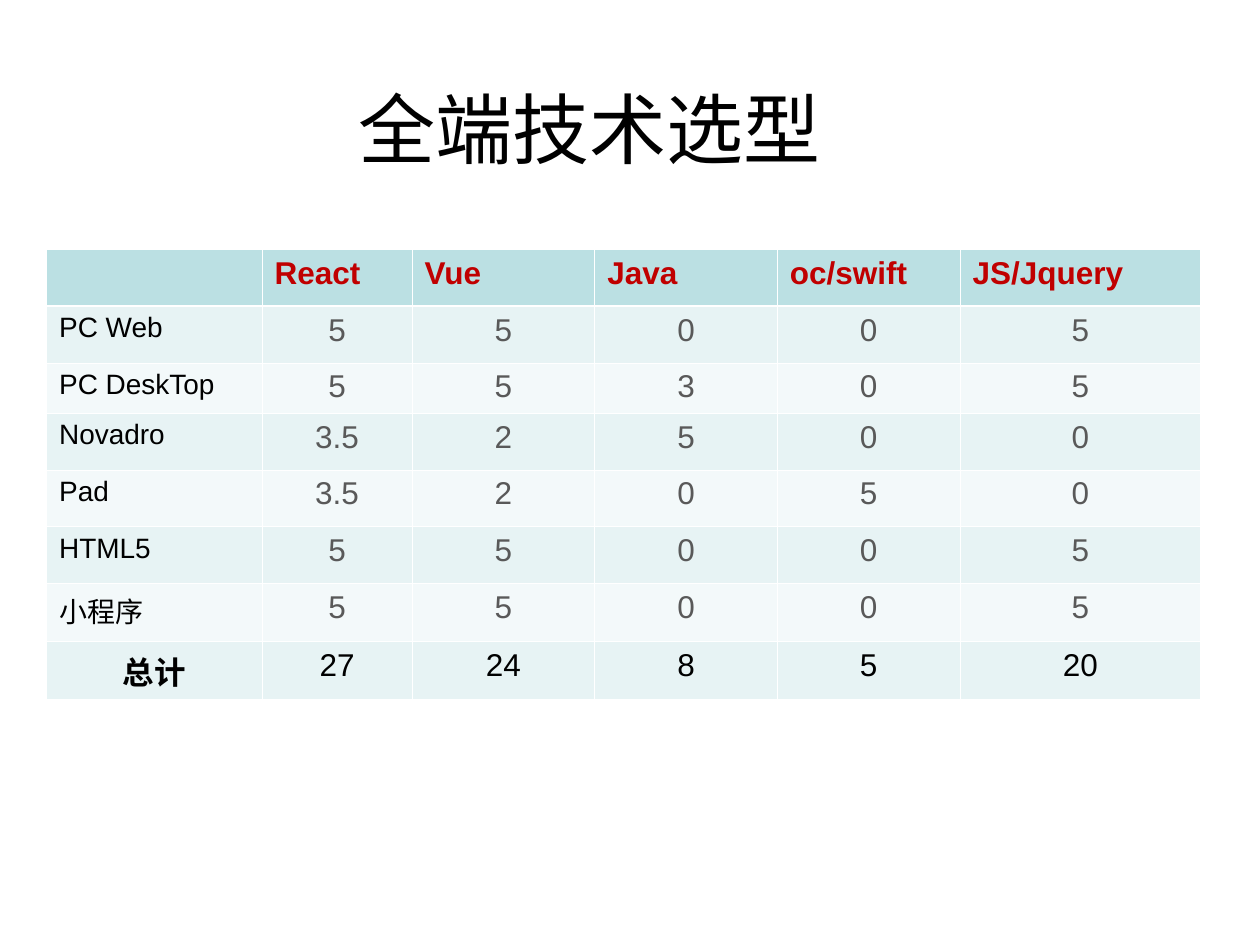
from lxml import etree
from pptx import Presentation
from pptx.dml.color import RGBColor
from pptx.enum.text import MSO_ANCHOR, PP_ALIGN
from pptx.oxml.ns import qn
from pptx.util import Inches, Pt

LEFT, CENTER = PP_ALIGN.LEFT, PP_ALIGN.CENTER
MIDDLE = MSO_ANCHOR.MIDDLE

TITLE = "全端技术选型"
TECHNOLOGIES = ["React", "Vue", "Java", "oc/swift", "JS/Jquery"]
SCORES = {
    "PC Web": [5, 5, 0, 0, 5],
    "PC DeskTop": [5, 5, 3, 0, 5],
    "Novadro": [3.5, 2, 5, 0, 0],
    "Pad": [3.5, 2, 0, 5, 0],
    "HTML5": [5, 5, 0, 0, 5],
    "小程序": [5, 5, 0, 0, 5],
}
TOTAL_LABEL = "总计"

COLUMN_WIDTHS = [1.71, 1.19, 1.45, 1.45, 1.45, 1.91]
ROW_HEIGHTS = [0.45, 0.45, 0.4, 0.45, 0.45, 0.45, 0.46, 0.45]
HEADER_FILL = "BBE0E3"
BAND_FILLS = ["E7F3F4", "F3F9FA"]
BLACK, RED, GREY, WHITE = "000000", "C00000", "595959", "FFFFFF"
THIN, THICK = 0.45, 1.47


def rgb(color):
    return RGBColor.from_string(color)


def write(frame, text, size=18, color=BLACK, bold=False, align=LEFT):
    paragraph = frame.paragraphs[0]
    paragraph.alignment = align
    run = paragraph.add_run()
    run.text = text
    run.font.name = "Arial"
    run.font.size = Pt(size)
    run.font.bold = bold
    run.font.color.rgb = rgb(color)


def set_borders(cell, **widths):
    """Draw white borders; widths are keyed by side: L, R, T, B."""
    properties = cell._tc.get_or_add_tcPr()
    for position, (side, width) in enumerate(widths.items()):
        line = etree.Element(qn(f"a:ln{side}"), w=str(Pt(width)))
        fill = etree.SubElement(line, qn("a:solidFill"))
        etree.SubElement(fill, qn("a:srgbClr"), val=WHITE)
        properties.insert(position, line)


def add_title(slide):
    title = slide.shapes.title
    title.left, title.top = Inches(0.43), Inches(0.21)
    title.width, title.height = Inches(8.5), Inches(1.61)
    title.text_frame.vertical_anchor = MIDDLE
    write(title.text_frame, TITLE, size=44, align=CENTER)


def add_score_table(slide):
    totals = [f"{sum(column):g}" for column in zip(*SCORES.values())]
    rows = [["", *TECHNOLOGIES]]
    rows += [[platform, *scores] for platform, scores in SCORES.items()]
    rows.append([TOTAL_LABEL, *totals])
    last = len(rows) - 1

    table = slide.shapes.add_table(
        len(rows), len(COLUMN_WIDTHS), Inches(0.37), Inches(1.98),
        Inches(sum(COLUMN_WIDTHS)), Inches(sum(ROW_HEIGHTS))).table
    for column, width in zip(table.columns, COLUMN_WIDTHS):
        column.width = Inches(width)
    for row, height in zip(table.rows, ROW_HEIGHTS):
        row.height = Inches(height)

    for r, values in enumerate(rows):
        for c, value in enumerate(values):
            if r == 0:
                style = dict(color=RED, bold=True)
            elif r == last:
                style = dict(bold=c == 0, align=CENTER)
            elif c == 0:
                style = dict(size=16)
            else:
                style = dict(color=GREY, align=CENTER)
            cell = table.cell(r, c)
            cell.fill.solid()
            cell.fill.fore_color.rgb = rgb(
                HEADER_FILL if r == 0 else BAND_FILLS[(r - 1) % 2])
            set_borders(cell, L=THIN, R=THIN,
                        T=THICK if r == 1 else THIN,
                        B=THICK if r == 0 else THIN)
            if value != "":
                write(cell.text_frame, str(value), **style)


def main():
    presentation = Presentation()
    presentation.slide_width, presentation.slide_height = Inches(10), Inches(7.5)
    title_only = presentation.slide_layouts[5]
    slide = presentation.slides.add_slide(title_only)
    add_title(slide)
    add_score_table(slide)
    presentation.save("out.pptx")


if __name__ == "__main__":
    main()
